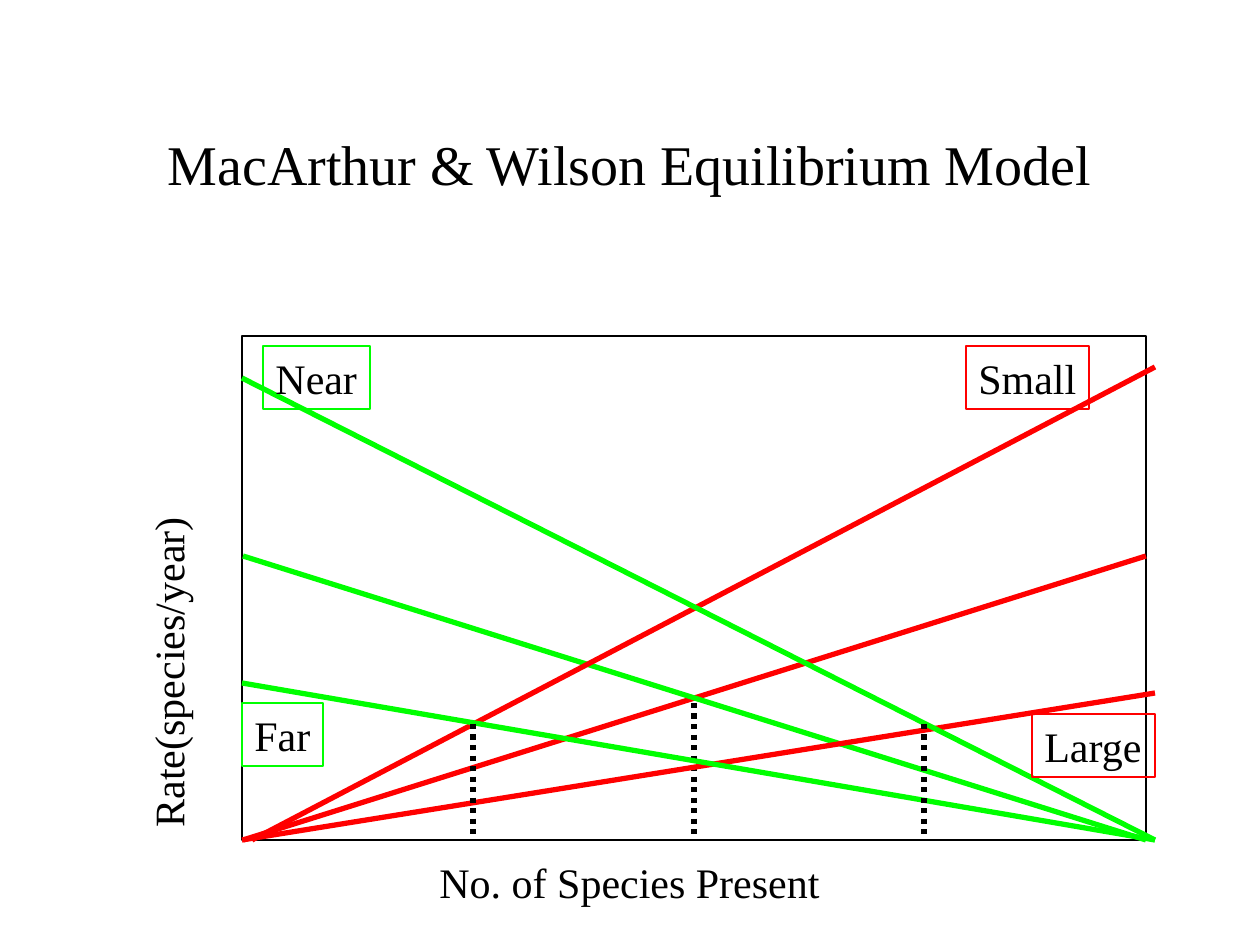
from lxml import etree
from pptx import Presentation
from pptx.dml.color import RGBColor
from pptx.enum.dml import MSO_LINE
from pptx.enum.shapes import MSO_CONNECTOR, MSO_SHAPE
from pptx.enum.text import MSO_ANCHOR, MSO_AUTO_SIZE, PP_ALIGN
from pptx.oxml.ns import qn
from pptx.util import Inches, Pt

PX = Inches(1) / 126
FONT = "Times New Roman"
BLACK = RGBColor(0, 0, 0)
RED = RGBColor(255, 0, 0)
GREEN = RGBColor(0, 255, 0)
DOTTED = MSO_LINE.ROUND_DOT
STRAIGHT = MSO_CONNECTOR.STRAIGHT
RECTANGLE = MSO_SHAPE.RECTANGLE
TOP, MIDDLE = MSO_ANCHOR.TOP, MSO_ANCHOR.MIDDLE
LEFT, CENTER = PP_ALIGN.LEFT, PP_ALIGN.CENTER
FIT_SHAPE, NO_FIT = MSO_AUTO_SIZE.SHAPE_TO_FIT_TEXT, MSO_AUTO_SIZE.NONE
BOTTOM_SIDE = 2


def px(*lengths):
    """Turn pixel lengths into EMU."""
    return [round(length * PX) for length in lengths]


def write(box, text, size, align):
    """Write one styled run into a box."""
    para = box.text_frame.paragraphs[0]
    para.alignment = align
    span = para.add_run()
    span.text = text
    span.font.name = FONT
    span.font.size = Pt(size)
    span.font.color.rgb = BLACK


def add_title(page, text):
    """Place and fill the title placeholder."""
    title = page.shapes.title
    title.left, title.top, title.width, title.height = px(94, 84, 1072, 158)
    title.text_frame.auto_size = NO_FIT
    title.text_frame.vertical_anchor = MIDDLE
    write(title, text, 32, CENTER)


def add_frame(page, *place):
    """Draw the unfilled plot frame."""
    frame = page.shapes.add_shape(RECTANGLE, *px(*place))
    frame.shadow.inherit = False
    frame.fill.background()
    frame.line.color.rgb = BLACK
    frame.line.width = Pt(0.75)
    return frame


def add_line(page, color, *ends):
    """Draw a thick straight line between two points."""
    line = page.shapes.add_connector(STRAIGHT, *px(*ends))
    line.line.color.rgb = color
    line.line.width = Pt(3)
    etree.SubElement(line._element.spPr, qn("a:effectLst"))
    return line


def add_drop(page, x, top, bottom):
    """Draw a dotted drop line from an equilibrium point to the axis."""
    drop = add_line(page, BLACK, x, top, x, bottom)
    drop.line.dash_style = DOTTED
    return drop


def add_label(page, text, place, color=None):
    """Add a one-line label, outlined when a color is given."""
    box = page.shapes.add_textbox(*px(*place))
    box.text_frame.word_wrap = False
    box.text_frame.auto_size = FIT_SHAPE
    box.text_frame.vertical_anchor = TOP
    if color is not None:
        box.line.color.rgb = color
        box.line.width = Pt(0.75)
    write(box, text, 24, LEFT)


def add_rate_label(page, text, *place):
    """Add the vertical axis label, reading upwards."""
    box = page.shapes.add_textbox(*px(*place))
    box.rotation = 180
    frame = box.text_frame
    frame.word_wrap = True
    frame.margin_left, frame.margin_right = Inches(0.05), Inches(0.05)
    frame.margin_top, frame.margin_bottom = Inches(0.1), Inches(0.1)
    frame._txBody.bodyPr.set("vert", "eaVert")
    write(box, text, 24, CENTER)


def main():
    """Build the equilibrium model slide."""
    deck = Presentation()
    deck.slide_width, deck.slide_height = px(1260, 945)
    page = deck.slides.add_slide(deck.slide_layouts[5])
    add_title(page, "MacArthur & Wilson Equilibrium Model")
    frame = add_frame(page, 242, 336, 904, 504)
    add_label(page, "No. of Species Present", (427, 850, 406, 63))

    add_line(page, RED, 243, 840, 1146, 556)
    add_line(page, GREEN, 243, 556, 1146, 840)
    add_drop(page, 694, 703, 840).end_connect(frame, BOTTOM_SIDE)
    add_line(page, RED, 252, 840, 1155, 367)
    add_line(page, RED, 242, 840, 1155, 693)
    for start in (378, 683):
        add_line(page, GREEN, 242, start, 1155, 840)
    for x in (473, 924):
        add_drop(page, x, 724, 840)

    labels = (
        ("Near", (263, 346, 107, 63), GREEN),
        ("Far", (242, 703, 81, 63), GREEN),
        ("Small", (966, 346, 123, 63), RED),
        ("Large", (1032, 714, 123, 63), RED),
    )
    for text, place, color in labels:
        add_label(page, text, place, color)
    add_rate_label(page, "Rate(species/year)", 136, 346, 76, 494)
    deck.save("out.pptx")


if __name__ == "__main__":
    main()
